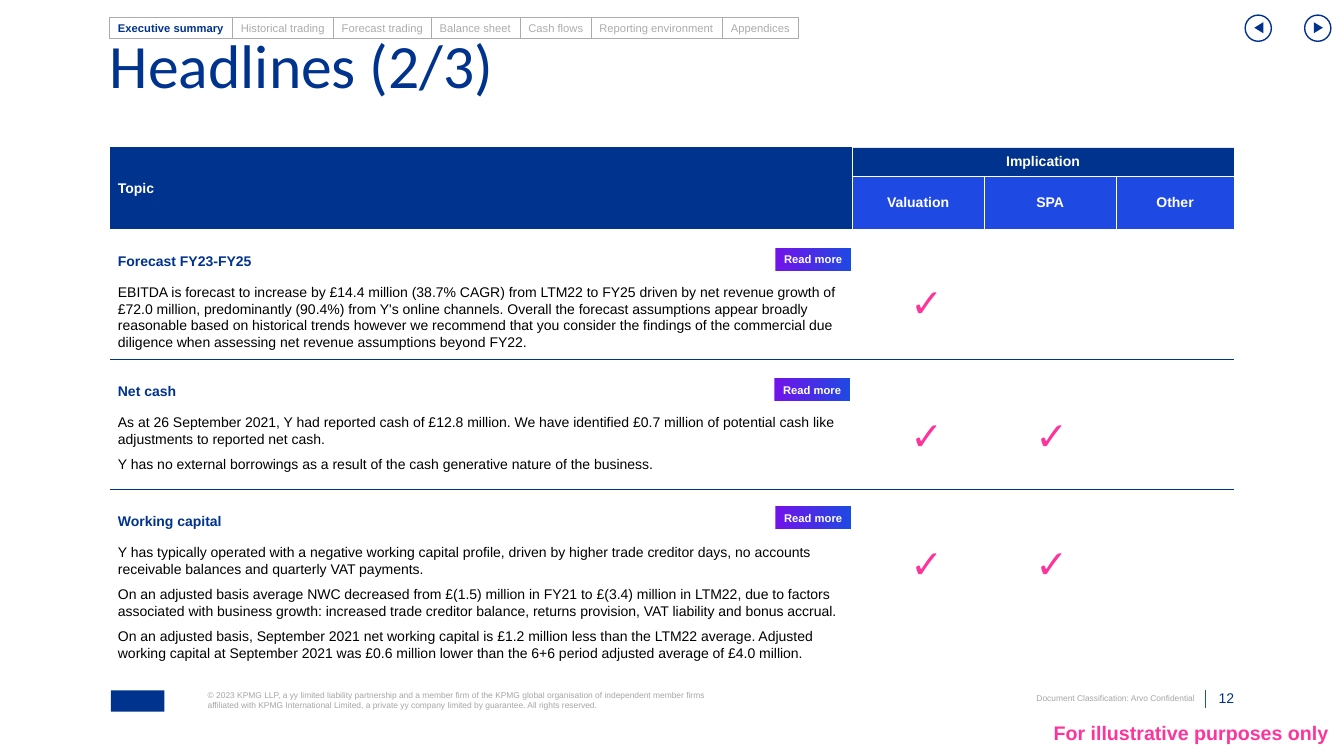
from dataclasses import dataclass
from itertools import accumulate
from typing import Any, NamedTuple

from lxml.etree import SubElement as Sub
from pptx import Presentation
from pptx.dml.color import RGBColor as Rgb
from pptx.enum.shapes import MSO_CONNECTOR as Link, MSO_SHAPE as Kind
from pptx.enum.text import MSO_ANCHOR as Anchor, PP_ALIGN as Align
from pptx.oxml.ns import qn
from pptx.util import Inches, Pt

WIDE, TALL = Inches(13.33), Inches(7.5)
COL, ROW = WIDE / 133.3, TALL / 75
LEFT, TOP, STEP = 10.9, 14.6, 12.9
HUES = {
    "navy": "00338D", "blue": "1E49E2", "violet": "7213EA", "pink": "FD349C",
    "grey": "A6A6A6", "edge": "ACACAC", "pale": "E5E5E5", "white": "FFFFFF",
    "black": "000000",
}


class Box(NamedTuple):
    x: float
    y: float
    w: float
    h: float


class Pad(NamedTuple):
    left: float = 0
    top: float = 0
    right: float = 0
    base: float = 0


class Look(NamedTuple):
    size: float
    hue: str
    bold: bool = False
    face: str = "Arial"


@dataclass
class Style:
    look: Look
    align: Any = Align.LEFT
    anchor: Any = Anchor.TOP
    pad: Pad = Pad()
    wrap: bool = True
    after: float = 0
    lead: float = 1.0


@dataclass
class Topic:
    head: str
    body: list[str]
    ticks: list[float]
    tick_y: float
    more_x: float
    more_y: float


class Tab(NamedTuple):
    name: str
    w: float


class Head(NamedTuple):
    row: int
    col: int
    text: str
    fill: str
    align: Any
    pad: float
    edges: dict[str, tuple[str, float]]


RIM = ("white", 0.75)
SIDES = {"L": RIM, "T": RIM, "R": RIM}
HEADS = [
    Head(0, 0, "Topic", "navy", Align.LEFT, 0.8, {"R": RIM}),
    Head(0, 1, "Implication", "navy", Align.CENTER, 0.6,
         {"L": RIM, "R": RIM, "T": ("pale", 0.25), "B": RIM}),
    *(Head(1, i, name, "blue", Align.CENTER, 0.8, SIDES)
      for i, name in enumerate(["Valuation", "SPA", "Other"], 1)),
]
TABS = [
    Tab("Executive summary", 12.2), Tab("Historical trading", 10),
    Tab("Forecast trading", 9.7), Tab("Balance sheet", 8.8),
    Tab("Cash flows", 7.05), Tab("Reporting environment", 13.05),
    Tab("Appendices", 7.5),
]
VALUE, SPA = 89.5, 101.9
TOPICS = [
    Topic("Forecast FY23-FY25", [
        "EBITDA is forecast to increase by £14.4 million (38.7% CAGR) from LTM22 to FY25 driven by net revenue growth of £72.0 million, predominantly (90.4%) from Y's online channels. Overall the forecast assumptions appear broadly reasonable based on historical trends however we recommend that you consider the findings of the commercial due diligence when assessing net revenue assumptions beyond FY22.",
    ], [VALUE], 27.3, 76.9, 24.6),
    Topic("Net cash", [
        "As at 26 September 2021, Y had reported cash of £12.8 million. We have identified £0.7 million of potential cash like adjustments to reported net cash.",
        "Y has no external borrowings as a result of the cash generative nature of the business.",
    ], [VALUE, SPA], 40.5, 76.8, 37.5),
    Topic("Working capital", [
        "Y has typically operated with a negative working capital profile, driven by higher trade creditor days, no accounts receivable balances and quarterly VAT payments.",
        "On an adjusted basis average NWC decreased from £(1.5) million in FY21 to £(3.4) million in LTM22, due to factors associated with business growth: increased trade creditor balance, returns provision, VAT liability and bonus accrual.",
        "On an adjusted basis, September 2021 net working capital is £1.2 million less than the LTM22 average. Adjusted working capital at September 2021 was £0.6 million lower than the 6+6 period adjusted average of £4.0 million.",
    ], [VALUE, SPA], 53.2, 76.9, 50.2),
]


def tint(name: str) -> Rgb:
    return Rgb.from_string(HUES[name])


def spot(box: Box) -> list[int]:
    return [round(v) for v in (box.x * COL, box.y * ROW, box.w * COL, box.h * ROW)]


def inset(host: Any, pad: Pad) -> None:
    host.margin_left, host.margin_right = round(pad.left * COL), round(pad.right * COL)
    host.margin_top, host.margin_bottom = round(pad.top * ROW), round(pad.base * ROW)


def fill_text(frame: Any, lines: list[str], style: Style) -> None:
    for i, line in enumerate(lines):
        para = frame.add_paragraph() if i else frame.paragraphs[0]
        para.alignment, para.line_spacing = style.align, style.lead
        para.space_before, para.space_after = Pt(0), Pt(style.after)
        run = para.add_run()
        run.text = line
        font, look = run.font, style.look
        font.name, font.size, font.bold = look.face, Pt(look.size), look.bold
        font.color.rgb = tint(look.hue)


def set_frame(shape: Any, lines: list[str], style: Style) -> None:
    frame = shape.text_frame
    frame.word_wrap, frame.vertical_anchor = style.wrap, style.anchor
    inset(frame, style.pad)
    fill_text(frame, lines, style)


def add_text(shapes: Any, box: Box, lines: list[str], style: Style) -> None:
    set_frame(shapes.add_textbox(*spot(box)), lines, style)


def add_form(shapes: Any, kind: Any, box: Box, fill: str = "", line: str = "",
             width: float = 0.75, turn: float = 0) -> Any:
    shape = shapes.add_shape(kind, *spot(box))
    shape.shadow.inherit = False
    shape.rotation = turn
    if fill:
        shape.fill.solid()
        shape.fill.fore_color.rgb = tint(fill)
    else:
        shape.fill.background()
    if line:
        shape.line.color.rgb, shape.line.width = tint(line), Pt(width)
    else:
        shape.line.fill.background()
    return shape


def add_edges(cell: Any, edges: dict[str, tuple[str, float]]) -> None:
    props = cell._tc.get_or_add_tcPr()
    sides = [side for side in "LRTB" if side in edges]
    for i, side in enumerate(sides):
        hue, width = edges[side]
        line = Sub(props, qn(f"a:ln{side}"), w=str(Pt(width)))
        Sub(Sub(line, qn("a:solidFill")), qn("a:srgbClr"), val=HUES[hue])
        props.insert(i, line)


def add_grid(shapes: Any) -> None:
    cols, rows = [73.6, 13.1, 13.1, 11.7], [2.8, 5.3, STEP, STEP, STEP]
    frame = shapes.add_table(5, 4, *spot(Box(LEFT, TOP, sum(cols), sum(rows))))
    table = frame.table
    table.first_row = table.horz_banding = False
    table._tbl.tblPr.find(qn("a:tableStyleId")).text = "{2D5ABB26-0587-4C30-8999-92F81FD0307C}"
    for part, w in zip(table.columns, cols):
        part.width = round(w * COL)
    for part, h in zip(table.rows, rows):
        part.height = round(h * ROW)
    table.cell(0, 0).merge(table.cell(1, 0))
    table.cell(0, 1).merge(table.cell(0, 3))
    for head in HEADS:
        cell = table.cell(head.row, head.col)
        cell.fill.solid()
        cell.fill.fore_color.rgb = tint(head.fill)
        cell.vertical_anchor = Anchor.MIDDLE
        inset(cell, Pad(*[head.pad] * 4))
        fill_text(cell.text_frame, [head.text], Style(Look(10, "white", True), head.align))
        add_edges(cell, head.edges)
    rule = ("navy", 0.75)
    for r, edges in enumerate([{"B": rule}, {"T": rule, "B": rule}, {"T": rule}], 2):
        for c in range(4):
            cell = table.cell(r, c)
            cell.fill.background()
            add_edges(cell, edges)


def add_topic(shapes: Any, i: int, topic: Topic) -> None:
    pad = Pad(left=0.8)
    add_text(shapes, Box(LEFT, 24.4 + i * STEP, 73.4, 2.9), [topic.head],
             Style(Look(10, "navy", True), anchor=Anchor.MIDDLE, pad=pad, after=6))
    add_text(shapes, Box(LEFT, 28.1 + i * STEP, 73.4, 7.3), topic.body,
             Style(Look(10, "black"), pad=pad, after=6))
    for x in topic.ticks:
        add_text(shapes, Box(x, topic.tick_y, 4.7, 5.2), ["✓"],
                 Style(Look(28, "pink", True), Align.CENTER, Anchor.MIDDLE,
                       Pad(0.8, 0.8, 0.8, 0.8), False, 6))
    more = add_form(shapes, Kind.ROUNDED_RECTANGLE, Box(topic.more_x, topic.more_y, 7.5, 2.3))
    more.adjustments[0] = 0
    more.fill.gradient()
    more.fill.gradient_angle = 0
    for stop, hue, place in zip(more.fill.gradient_stops, ["violet", "blue"], [0, 1]):
        stop.color.rgb, stop.position = tint(hue), place
    set_frame(more, ["Read more"], Style(Look(8, "white", True), Align.CENTER, Anchor.MIDDLE))


def add_tabs(shapes: Any) -> None:
    group = shapes.add_group_shape().shapes
    starts = accumulate((tab.w for tab in TABS), initial=LEFT)
    for i, (x, tab) in enumerate(zip(starts, TABS)):
        shape = add_form(group, Kind.RECTANGLE, Box(x, 1.7, tab.w, 2.1), line="edge")
        look = Look(8, "edge") if i else Look(8, "navy", True)
        set_frame(shape, [tab.name], Style(look, anchor=Anchor.MIDDLE,
                                           pad=Pad(0.8, 0.4, 0.8, 0.4), wrap=False))


def add_foot(shapes: Any) -> None:
    small = Look(6, "grey")
    add_form(shapes, Kind.RECTANGLE, Box(11, 68.5, 5.3, 2.1), "navy")
    add_text(shapes, Box(20.6, 68.5, 50.6, 2), [
        "© 2023 KPMG LLP, a yy limited liability partnership and a member firm of the KPMG global organisation of independent member firms affiliated with KPMG International Limited, a private yy company limited by guarantee. All rights reserved.",
    ], Style(small))
    add_text(shapes, Box(98.1, 68.8, 20.4, 1), ["Document Classification: Arvo Confidential"],
             Style(small, Align.RIGHT))
    add_text(shapes, Box(119.7, 68.5, 2.7, 1.6), ["12"],
             Style(Look(10, "navy"), Align.RIGHT, Anchor.BOTTOM))
    add_text(shapes, Box(104, 70.7, 27.8, 3.9), ["For illustrative purposes only"],
             Style(Look(14, "pink", True), Align.RIGHT, Anchor.MIDDLE, Pad(top=0.4), lead=0.8))
    x, y, _, h = spot(Box(119.5, 68.5, 0, 1.7))
    bar = shapes.add_connector(Link.STRAIGHT, x, y, x, y + h)
    bar.line.color.rgb, bar.line.width = tint("blue"), Pt(0.5)
    Sub(bar._element.spPr, qn("a:effectLst"))


def main() -> None:
    deck = Presentation()
    deck.slide_width, deck.slide_height = WIDE, TALL
    shapes = deck.slides.add_slide(deck.slide_layouts[6]).shapes
    add_foot(shapes)
    for x, turn in [(123.5, 270), (129.4, 90)]:
        add_form(shapes, Kind.ISOSCELES_TRIANGLE, Box(x + 0.8, 2.3, 1.1, 0.9), "navy", turn=turn)
        add_form(shapes, Kind.OVAL, Box(x, 1.5, 2.6, 2.6), line="navy", width=1)
    add_grid(shapes)
    add_text(shapes, Box(LEFT, 4.7, 111.6, 5.9), ["Headlines (2/3)"],
             Style(Look(44, "navy", face="Calibri"), lead=0.7))
    for i, topic in enumerate(TOPICS):
        add_topic(shapes, i, topic)
    add_tabs(shapes)
    deck.save("out.pptx")


if __name__ == "__main__":
    main()
